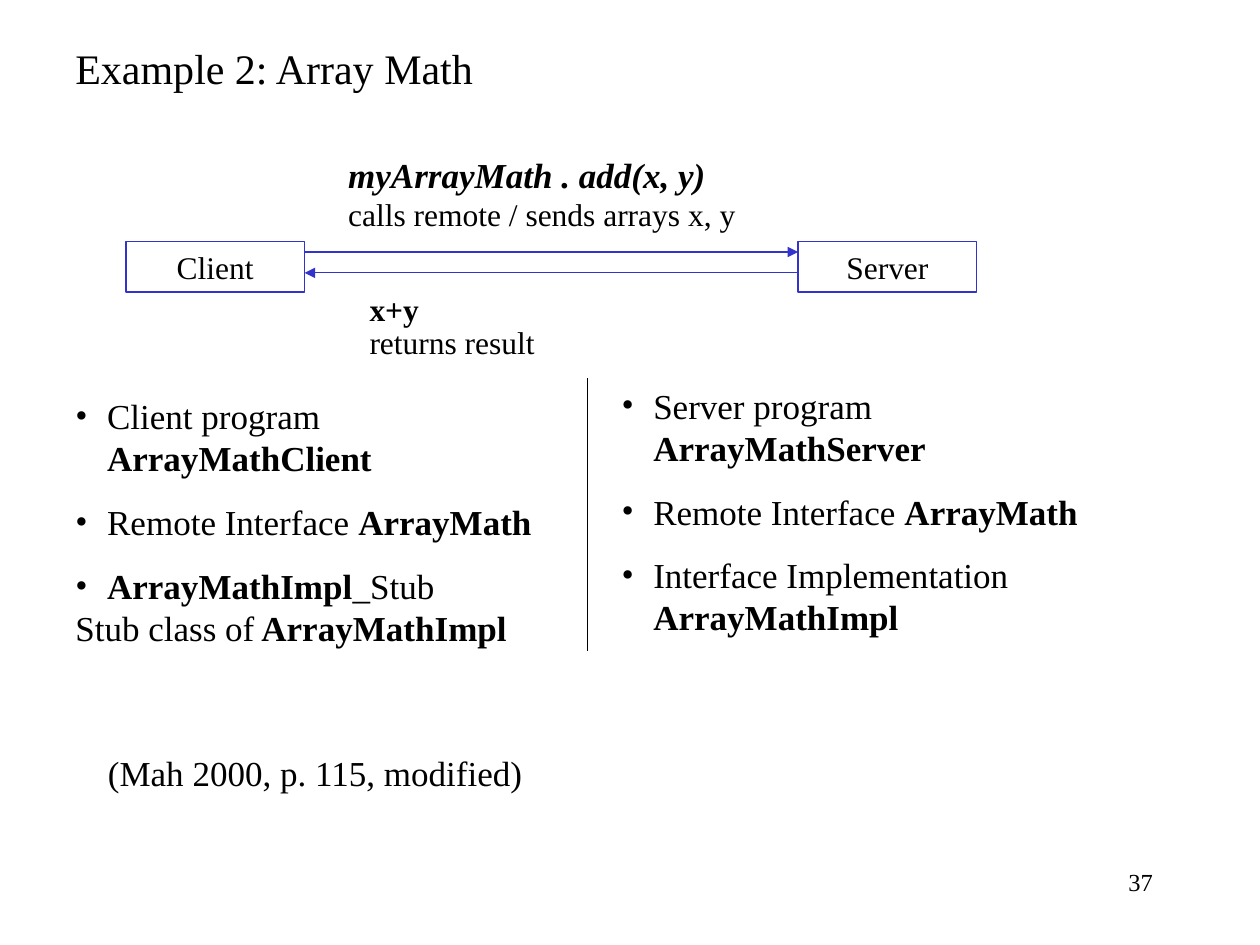
from dataclasses import dataclass

from lxml import etree
from pptx import Presentation
from pptx import util as u
from pptx.dml.color import RGBColor
from pptx.enum import shapes, text
from pptx.oxml import ns

BLACK = RGBColor(0x00, 0x00, 0x00)
BLUE = RGBColor(0x33, 0x33, 0xCC)
FONT = "Times New Roman"
LINE_WIDTH = u.Pt(0.75)
INDENT = u.Cm(0.64)

LEFT, CENTER, RIGHT = text.PP_ALIGN.LEFT, text.PP_ALIGN.CENTER, text.PP_ALIGN.RIGHT
PLAIN, BOLD = {}, {"bold": True}
BOLD_ITALIC = {"bold": True, "italic": True}


@dataclass
class Para:
    spans: list[tuple[str, dict]]
    size: float = 20
    before: float = 0
    align: text.PP_ALIGN = LEFT
    spacing: float = 1.0
    bullet: bool = False
    hanging: bool = False


@dataclass
class Box:
    """A block of text; lengths in centimetres."""
    left: float
    top: float
    width: float
    height: float
    paras: list[Para]
    anchor: text.MSO_ANCHOR = text.MSO_ANCHOR.TOP
    outlined: bool = False


@dataclass
class Line:
    """A straight line; lengths in centimetres."""
    start: tuple[float, float]
    end: tuple[float, float]
    color: RGBColor
    arrow: bool = False


def item(*spans: tuple[str, dict]) -> Para:
    return Para(list(spans), before=12.5, bullet=True, hanging=True)


def node(name: str, left: float) -> Box:
    """Outlined box at one end of the remote call."""
    para = Para([(name, PLAIN)], size=18, before=11.2, align=CENTER)
    return Box(left, NODE_TOP, NODE_WIDTH, 1.02, [para], outlined=True)


NODE_TOP, NODE_WIDTH = 4.87, 3.6
CLIENT_LEFT, SERVER_LEFT = 2.54, 16.09
CLIENT_RIGHT = CLIENT_LEFT + NODE_WIDTH
CALL_Y, RESULT_Y = 5.08, 5.5

BOXES = [
    Box(18.2, 17.36, 5.29, 1.27, [Para([("37", PLAIN)], size=14, align=RIGHT)]),
    Box(1.27, 0, 21.59, 2.75, [Para([("Example 2: Array Math", PLAIN)], size=24)],
        anchor=text.MSO_ANCHOR.MIDDLE),
    node("Client", CLIENT_LEFT),
    node("Server", SERVER_LEFT),
    Box(6.77, 2.96, 9.31, 1.88, [
        Para([("myArrayMath . add(x, y)", BOLD_ITALIC)], before=12.5),
        Para([("calls remote / sends arrays x, y", PLAIN)], size=18),
    ]),
    Box(7.2, 5.72, 7.2, 1.7, [
        Para([("x+y", BOLD)], size=18, before=11.2),
        Para([("returns result", PLAIN)], size=18, spacing=0.9),
    ]),
    Box(12.28, 7.62, 10.8, 6.65, [
        item(("Server program ", PLAIN), ("ArrayMathServer", BOLD)),
        item(("Remote Interface ", PLAIN), ("ArrayMath", BOLD)),
        item(("Interface Implementation", PLAIN), (" ArrayMathImpl", BOLD)),
    ]),
    Box(1.27, 7.83, 10.16, 7.95, [
        item(("Client program ", PLAIN), ("ArrayMathClient", BOLD)),
        item(("Remote Interface ", PLAIN), ("ArrayMath", BOLD)),
        item(("ArrayMathImpl", BOLD), ("_Stub", PLAIN)),
        Para([("Stub class of", PLAIN), (" ArrayMathImpl", BOLD)], hanging=True),
    ]),
    Box(1.06, 15.03, 10.59, 1.12, [
        Para([("(Mah 2000, p. 115, modified)", PLAIN)], before=12.5, align=CENTER),
    ]),
]

LINES = [
    Line((CLIENT_RIGHT, CALL_Y), (SERVER_LEFT, CALL_Y), BLUE, arrow=True),
    Line((SERVER_LEFT, RESULT_Y), (CLIENT_RIGHT, RESULT_Y), BLUE, arrow=True),
    Line((11.85, 7.62), (11.85, 13.12), BLACK),
]


def set_all(target, values: dict) -> None:
    for name, value in values.items():
        setattr(target, name, value)


def add_bullet(properties) -> None:
    color = etree.SubElement(properties, ns.qn("a:buClr"))
    etree.SubElement(color, ns.qn("a:srgbClr"), val=str(BLACK))
    etree.SubElement(properties, ns.qn("a:buFont"), typeface=FONT)
    etree.SubElement(properties, ns.qn("a:buChar"), char="•")


def fill_para(target, para: Para) -> None:
    set_all(target, {"alignment": para.align, "space_before": u.Pt(para.before),
                     "line_spacing": para.spacing})
    properties = target._p.get_or_add_pPr()
    if para.hanging:
        properties.set("marL", str(INDENT))
        properties.set("indent", str(-INDENT))
    if para.bullet:
        add_bullet(properties)
    for wording, style in para.spans:
        span = target.add_run()
        span.text = wording
        set_all(span.font, {"name": FONT, "size": u.Pt(para.size), **style})
        span.font.color.rgb = BLACK


def draw_box(page, box: Box) -> None:
    place = [u.Cm(n) for n in (box.left, box.top, box.width, box.height)]
    if box.outlined:
        shape = page.shapes.add_shape(shapes.MSO_SHAPE.RECTANGLE, *place)
        shape.shadow.inherit = False
        shape.fill.background()
        shape.line.color.rgb = BLUE
        shape.line.width = LINE_WIDTH
    else:
        shape = page.shapes.add_textbox(*place)
    frame = shape.text_frame
    set_all(frame, {"word_wrap": True, "vertical_anchor": box.anchor})
    for index, para in enumerate(box.paras):
        fill_para(frame.add_paragraph() if index else frame.paragraphs[0], para)


def draw_line(page, line: Line) -> None:
    ends = [u.Cm(n) for n in (*line.start, *line.end)]
    connector = page.shapes.add_connector(shapes.MSO_CONNECTOR.STRAIGHT, *ends)
    connector.line.color.rgb = line.color
    connector.line.width = LINE_WIDTH
    if line.arrow:
        outline = connector.line._get_or_add_ln()
        etree.SubElement(outline, ns.qn("a:tailEnd"), type="triangle")
    etree.SubElement(connector._element.spPr, ns.qn("a:effectLst"))


def main() -> None:
    deck = Presentation()
    set_all(deck, {"slide_width": u.Cm(25.4), "slide_height": u.Cm(19.05)})
    page = deck.slides.add_slide(deck.slide_layouts[6])
    for box in BOXES:
        draw_box(page, box)
    for line in LINES:
        draw_line(page, line)
    deck.save("out.pptx")


if __name__ == "__main__":
    main()
